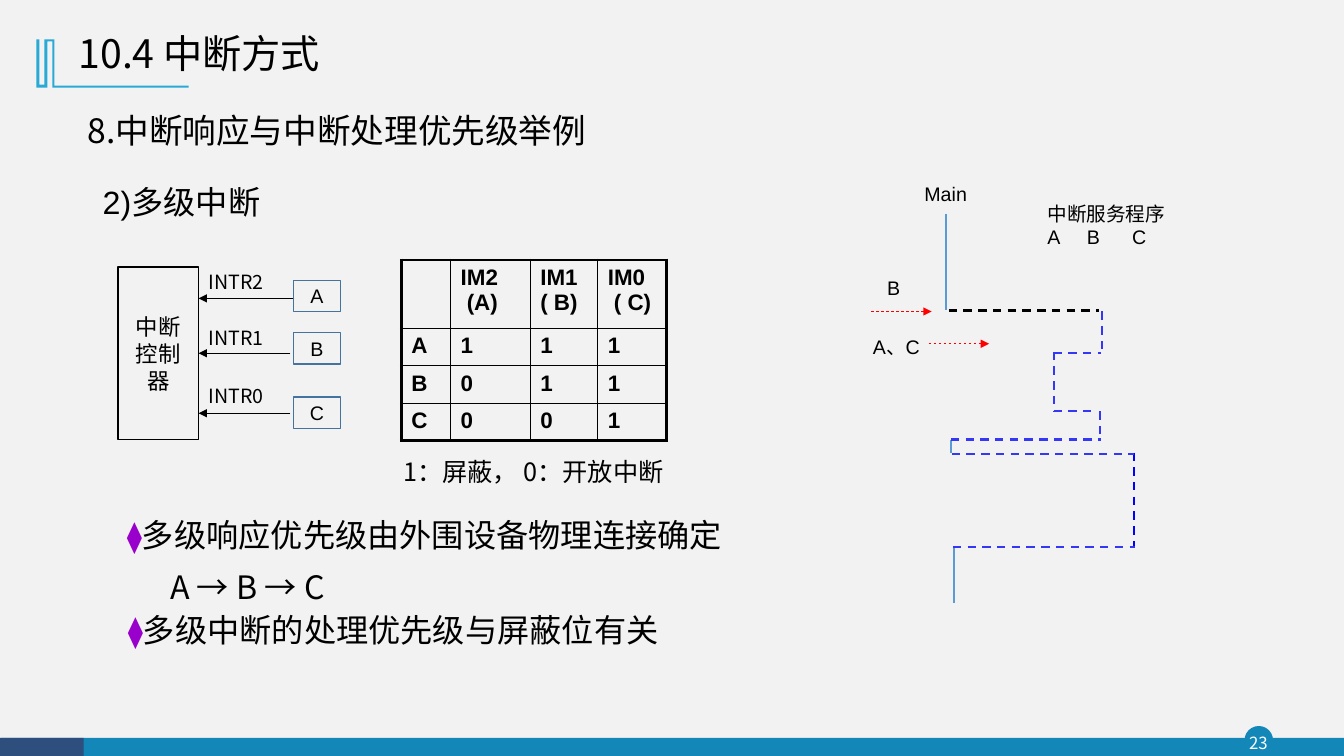
from dataclasses import dataclass

import pptx
import pptx.dml.color
import pptx.enum.dml
import pptx.enum.shapes
import pptx.enum.text
import pptx.oxml
import pptx.oxml.ns
import pptx.util
from pptx.util import Inches

Shape = pptx.enum.shapes.MSO_SHAPE
Align = pptx.enum.text.PP_ALIGN
Anchor = pptx.enum.text.MSO_ANCHOR


@dataclass(frozen=True)
class Theme:
    cjk: str = "Noto Sans CJK SC"
    cjk_alt: str = "Noto Sans CJK JP"
    latin: str = "Arial"
    paper: str = "F2F2F2"
    ink: str = "000000"
    white: str = "FFFFFF"
    teal: str = "1387B7"
    navy: str = "2E4E7E"
    sky: str = "28A9D6"
    device: str = "43739E"
    running: str = "5B9BD5"
    service: str = "3438F6"
    service_deep: str = "0000FF"
    request: str = "FF0000"
    diamond: str = "9900CC"
    title: float = 28
    heading: float = 24
    body: float = 23
    bullet: float = 22
    note: float = 18
    cell: float = 16
    label: float = 14
    number: float = 12


THEME = Theme()


@dataclass(frozen=True)
class Span:
    text: str
    size: float = THEME.label
    font: str = THEME.latin
    color: str = THEME.ink
    bold: bool = False


@dataclass(frozen=True)
class Line:
    start: tuple[float, float]
    end: tuple[float, float]
    color: str
    width: float = 1.5
    dashed: bool = False
    arrow: bool = False


@dataclass(frozen=True)
class Interrupt:
    signal: str
    device: str
    label_top: float
    box_top: float
    line_left: float
    line_y: float


def rgb(value: str):
    return pptx.dml.color.RGBColor.from_string(value)


def add_xml(parent, tag: str, **attributes: str):
    child = pptx.oxml.parse_xml(f"<a:{tag} {pptx.oxml.ns.nsdecls('a')}/>")
    for key, value in attributes.items():
        child.set(key, value)
    parent.append(child)
    return child


def add_spans(para, *spans: Span) -> None:
    for span in spans:
        run = para.add_run()
        run.text = span.text
        run.font.size = pptx.util.Pt(span.size)
        run.font.name = span.font
        run.font.bold = span.bold
        run.font.color.rgb = rgb(span.color)
        east = THEME.cjk if span.font == THEME.latin else span.font
        add_xml(run.font._element, "ea", typeface=east)


def add_text(page, left: float, top: float, width: float, height: float, *spans: Span):
    box = page.shapes.add_textbox(Inches(left), Inches(top), Inches(width), Inches(height))
    box.text_frame.word_wrap = True
    add_spans(box.text_frame.paragraphs[0], *spans)
    return box


def add_block(page, kind, left: float, top: float, width: float, height: float,
              fill: str = "", outline: str = "", span: Span | None = None):
    box = page.shapes.add_shape(kind, Inches(left), Inches(top), Inches(width), Inches(height))
    box.shadow.inherit = False
    if fill:
        box.fill.solid()
        box.fill.fore_color.rgb = rgb(fill)
    else:
        box.fill.background()
    if outline:
        box.line.color.rgb = rgb(outline)
        box.line.width = pptx.util.Pt(1)
    else:
        box.line.fill.background()
    if span:
        box.text_frame.vertical_anchor = Anchor.MIDDLE
        box.text_frame.paragraphs[0].alignment = Align.CENTER
        add_spans(box.text_frame.paragraphs[0], span)
    return box


def add_line(page, line: Line):
    connector = page.shapes.add_connector(
        pptx.enum.shapes.MSO_CONNECTOR.STRAIGHT, *map(Inches, line.start + line.end))
    connector.line.color.rgb = rgb(line.color)
    connector.line.width = pptx.util.Pt(line.width)
    if line.dashed:
        connector.line.dash_style = pptx.enum.dml.MSO_LINE.DASH
    if line.arrow:
        add_xml(connector.line._get_or_add_ln(), "tailEnd", type="triangle")
    add_xml(connector._element.spPr, "effectLst")
    return connector


def add_frame(page) -> None:
    add_block(page, Shape.OVAL, 12.35, 7.21, 0.27, 0.27, THEME.teal, THEME.teal)
    add_block(page, Shape.RECTANGLE, 0.01, 7.32, 13.32, 0.19, THEME.teal)
    add_block(page, Shape.RECTANGLE, 0, 7.32, 0.83, 0.19, THEME.navy)
    number = add_text(page, 12.32, 7.21, 0.32, 0.31,
                      Span("23", THEME.number, THEME.cjk, THEME.white))
    frame = number.text_frame
    frame.margin_left = frame.margin_right = frame.margin_top = frame.margin_bottom = 0
    frame.vertical_anchor = Anchor.MIDDLE
    frame.paragraphs[0].alignment = Align.CENTER
    # Title ornament, in hundredths of an inch
    outline = page.shapes.build_freeform(54, 39, scale=Inches(0.01))
    outline.add_line_segments([
        (54, 85), (187, 85), (187, 87), (52, 87), (52, 41), (47, 41), (47, 87),
        (36, 87), (36, 39), (39, 39), (39, 84), (44, 84), (44, 39)], close=True)
    ornament = outline.convert_to_shape()
    ornament.shadow.inherit = False
    ornament.fill.solid()
    ornament.fill.fore_color.rgb = rgb(THEME.sky)
    ornament.line.fill.background()


def add_title(page) -> None:
    title = page.shapes.title
    title.left, title.top, title.width, title.height = map(Inches, (0.68, 0.21, 4.49, 0.68))
    title.text_frame.vertical_anchor = Anchor.MIDDLE
    para = title.text_frame.paragraphs[0]
    para.alignment = Align.LEFT
    para.line_spacing = 0.9
    add_spans(para, Span("10.4 中断方式", THEME.title, THEME.cjk))


def add_controller(page) -> None:
    controller = add_block(page, Shape.RECTANGLE, 1.17, 2.65, 0.8, 1.71, outline=THEME.ink,
                           span=Span("中断控制器", THEME.cell, THEME.cjk))
    middle = 2.65 + 1.71 / 2
    for item in (Interrupt("INTR2", "A", 2.63, 2.78, 2.92, 2.96),
                 Interrupt("INTR1", "B", 3.18, 3.3, 2.88, middle),
                 Interrupt("INTR0", "C", 3.76, 3.94, 2.88, 4.1)):
        arrow = add_line(page, Line((item.line_left, item.line_y), (1.97, item.line_y),
                                    THEME.ink, 0.5, arrow=True))
        if item.line_y == middle:
            arrow.end_connect(controller, 3)
        add_text(page, 1.97, item.label_top, 0.77, 0.34, Span(item.signal, font=THEME.cjk))
        add_block(page, Shape.RECTANGLE, 2.91, item.box_top, 0.47, 0.31,
                  outline=THEME.device, span=Span(item.device))


def add_mask_table(page) -> None:
    rows = [["", "IM2\n(A)", "IM1\n( B)", "IM0\n( C)"], list("A111"), list("B011"), list("C001")]
    widths, heights = (0.49, 0.79, 0.67, 0.68), (0.68, 0.37, 0.37, 0.37)
    table = page.shapes.add_table(4, 4, Inches(3.98), Inches(2.58),
                                  Inches(sum(widths)), Inches(sum(heights))).table
    table.first_row = table.horz_banding = False
    for index in range(4):
        table.columns[index].width = Inches(widths[index])
        table.rows[index].height = Inches(heights[index])
    for r, row in enumerate(rows):
        for c, text in enumerate(row):
            cell = table.cell(r, c)
            for index, part in enumerate(text.split("\n")):
                frame = cell.text_frame
                para = frame.add_paragraph() if index else frame.paragraphs[0]
                if index and c != 2:
                    para._p.get_or_add_pPr().set("marL", str(Inches(0.06)))
                add_spans(para, Span(part, THEME.cell, bold=True))
            props = cell._tc.get_or_add_tcPr()
            for tag, outer in (("lnL", c == 0), ("lnR", c == 3), ("lnT", r == 0), ("lnB", r == 3)):
                border = add_xml(props, tag, w=str(pptx.util.Pt(2.25 if outer else 1)))
                add_xml(add_xml(border, "solidFill"), "srgbClr", val=THEME.ink)
            cell.fill.background()


def add_statements(page) -> None:
    add_text(page, 0.77, 1.04, 5.35, 0.5,
             Span("8.中断响应与中断处理优先级举例", THEME.heading, THEME.cjk_alt))
    add_text(page, 0.92, 1.76, 2.11, 0.49, Span("2)多级中断", THEME.body))
    add_text(page, 3.9, 4.48, 3.39, 0.4, Span("1：屏蔽， 0：开放中断", THEME.note, THEME.cjk))
    diamond = Span("⧫", THEME.bullet, color=THEME.diamond)
    for left, top, height, text, order in (
            (1.16, 4.93, 1.15, "多级响应优先级由外围设备物理连接确定", "A → B → C"),
            (1.17, 5.87, 0.58, "多级中断的处理优先级与屏蔽位有关", "")):
        frame = add_text(page, left, top, 6.24, height, diamond,
                         Span(text, THEME.body, THEME.cjk)).text_frame
        if order:
            para = frame.add_paragraph()
            para._p.get_or_add_pPr().set("marL", str(Inches(0.43)))
            add_spans(para, Span(order, THEME.body, THEME.cjk))
        for para in frame.paragraphs:
            para.line_spacing = 1.35


def add_timeline(page) -> None:
    for left, top, width, text in ((9.07, 1.76, 0.63, "Main"), (8.7, 2.69, 0.42, "B"),
                                   (8.56, 3.27, 1.01, "A、C")):
        add_text(page, left, top, width, 0.34, Span(text))
    routines = add_text(page, 10.29, 1.95, 1.55, 0.57, Span("中断服务程序")).text_frame
    para = routines.add_paragraph()
    tabs = add_xml(para._p.get_or_add_pPr(), "tabLst")
    for stop in (0.39, 0.84):
        add_xml(tabs, "tab", pos=str(Inches(stop)), algn="l")
    add_spans(para, Span("A\tB\tC"))
    # Main program
    for x, top, bottom in ((9.38, 2.12, 3.08), (9.43, 4.37, 4.49), (9.46, 5.43, 5.98)):
        add_line(page, Line((x, top), (x, bottom), THEME.running))
    # Interrupt requests
    for x, y in ((8.64, 3.09), (9.21, 3.41)):
        add_line(page, Line((x, y), (x + 0.6, y), THEME.request, 0.5, True, True))
    # Service routines and the jumps between them
    add_line(page, Line((9.41, 3.08), (10.9, 3.08), THEME.ink, dashed=True))
    add_line(page, Line((11.25, 4.49), (11.25, 5.43), THEME.service_deep, dashed=True))
    for start, end in (((10.93, 3.09), (10.93, 3.52)), ((10.45, 3.5), (10.92, 3.5)),
                       ((10.45, 3.49), (10.45, 4.08)), ((10.45, 4.08), (10.88, 4.08)),
                       ((10.91, 4.08), (10.91, 4.36)), ((9.43, 4.36), (10.92, 4.36)),
                       ((9.44, 4.5), (11.25, 4.5)), ((9.45, 5.43), (11.26, 5.43))):
        add_line(page, Line(start, end, THEME.service, dashed=True))


def main() -> None:
    deck = pptx.Presentation()
    deck.slide_width, deck.slide_height = Inches(13.33), Inches(7.5)
    page = deck.slides.add_slide(deck.slide_layouts[5])
    page.background.fill.solid()
    page.background.fill.fore_color.rgb = rgb(THEME.paper)
    for draw in (add_frame, add_title, add_controller, add_statements, add_mask_table, add_timeline):
        draw(page)
    deck.save("out.pptx")


if __name__ == "__main__":
    main()
